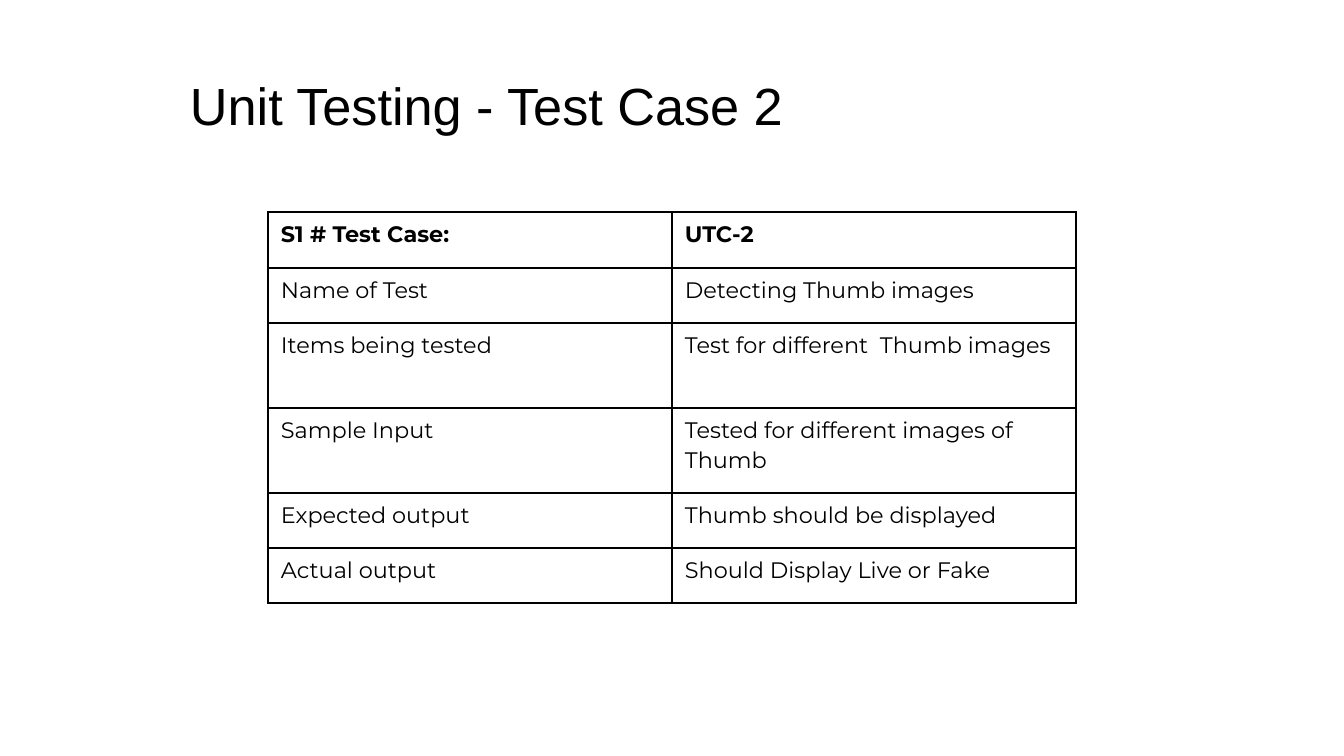
from dataclasses import dataclass

from lxml.etree import SubElement
from pptx import Presentation
from pptx.dml.color import RGBColor
from pptx.oxml.ns import qn
from pptx.util import Emu, Pt

PX = 914400 / 134.4


@dataclass(frozen=True)
class Theme:
    ink: RGBColor = RGBColor(0, 0, 0)
    title_font: str = "Arial"
    body_font: str = "Montserrat"
    title_size: int = 28
    body_size: int = 12
    border: int = 1


THEME = Theme()
TEST_CASE = [
    ("S1 # Test Case:", "UTC-2"),
    ("Name of Test", "Detecting Thumb images"),
    ("Items being tested", "Test for different  Thumb images"),
    ("Sample Input", "Tested for different images of Thumb"),
    ("Expected output", "Thumb should be displayed"),
    ("Actual output", "Should Display Live or Fake"),
]
ROW_HEIGHTS = [56, 55, 85, 85, 55, 55]


def px(length):
    return Emu(round(length * PX))


def set_font(para, name, size, bold=False):
    font = para.font
    font.name, font.size, font.bold = name, Pt(size), bold
    font.color.rgb = THEME.ink


def set_margins(area, across, down):
    area.margin_left = area.margin_right = px(across)
    area.margin_top = area.margin_bottom = px(down)


def outline_cell(cell):
    """Rule all four sides; the lines must come before the cell's fill."""
    props = cell._tc.get_or_add_tcPr()
    for side in ("lnL", "lnR", "lnT", "lnB"):
        line = SubElement(props, qn(f"a:{side}"), w=str(Pt(THEME.border)))
        fill = SubElement(line, qn("a:solidFill"))
        SubElement(fill, qn("a:srgbClr"), val=str(THEME.ink))
    cell.fill.background()


def add_title(page, box, text):
    frame = page.shapes.add_textbox(*map(px, box)).text_frame
    frame.word_wrap = True
    set_margins(frame, 13, 13)
    para = frame.paragraphs[0]
    para.text = text
    para.line_spacing = 1.1
    set_font(para, THEME.title_font, THEME.title_size)


def add_case_table(page, box, rows, heights):
    columns = len(rows[0])
    table = page.shapes.add_table(len(rows), columns, *map(px, box)).table
    table.horz_banding = False
    for column in table.columns:
        column.width = px(box[2] / columns)
    for r, (texts, height) in enumerate(zip(rows, heights)):
        table.rows[r].height = px(height)
        for c, text in enumerate(texts):
            cell = table.cell(r, c)
            set_margins(cell, 13, 7)
            outline_cell(cell)
            para = cell.text_frame.paragraphs[0]
            para.text = text
            para.line_spacing = 1.08
            para.space_after = Pt(8)
            set_font(para, THEME.body_font, THEME.body_size, bold=r == 0)


def main():
    deck = Presentation()
    deck.slide_width, deck.slide_height = px(1344), px(756)
    page = deck.slides.add_slide(deck.slide_layouts[6])
    add_title(page, (177, 54, 1035, 134), "Unit Testing - Test Case 2")
    add_case_table(page, (268, 212, 808, sum(ROW_HEIGHTS)), TEST_CASE, ROW_HEIGHTS)
    deck.save("out.pptx")


if __name__ == "__main__":
    main()
